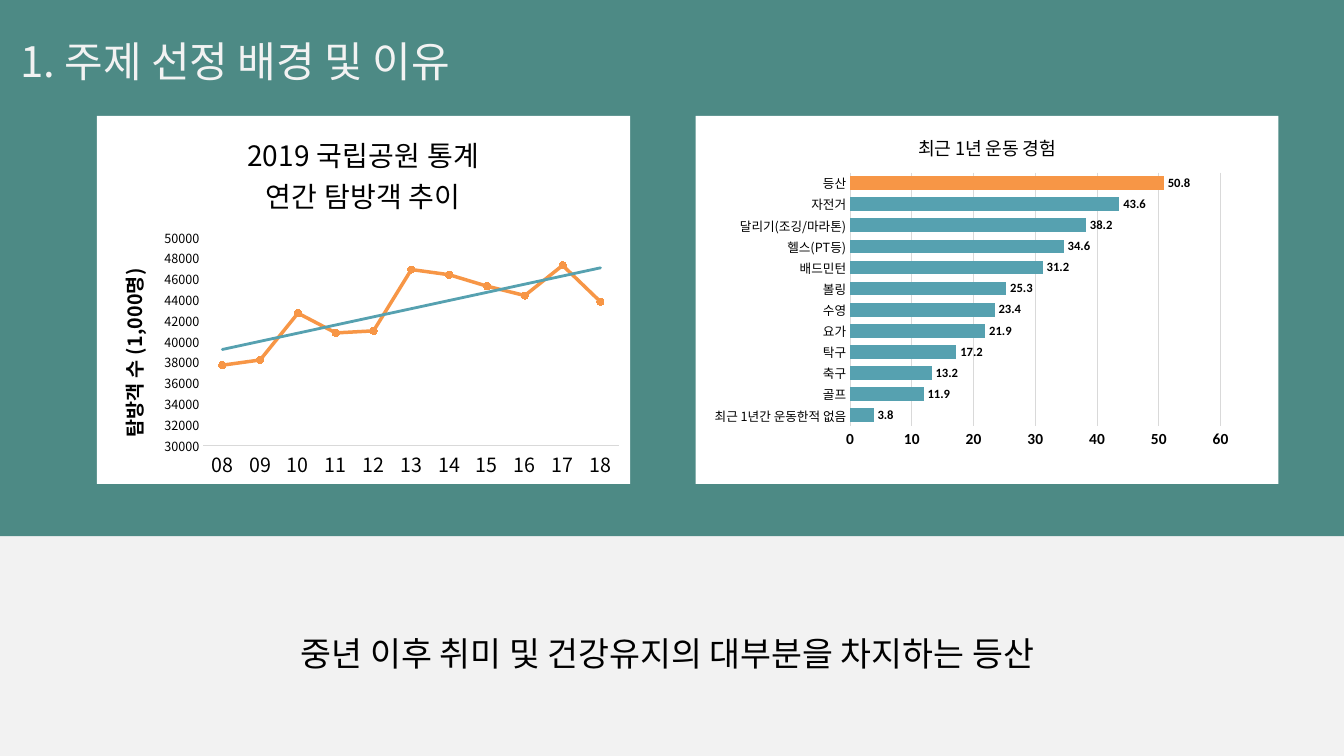
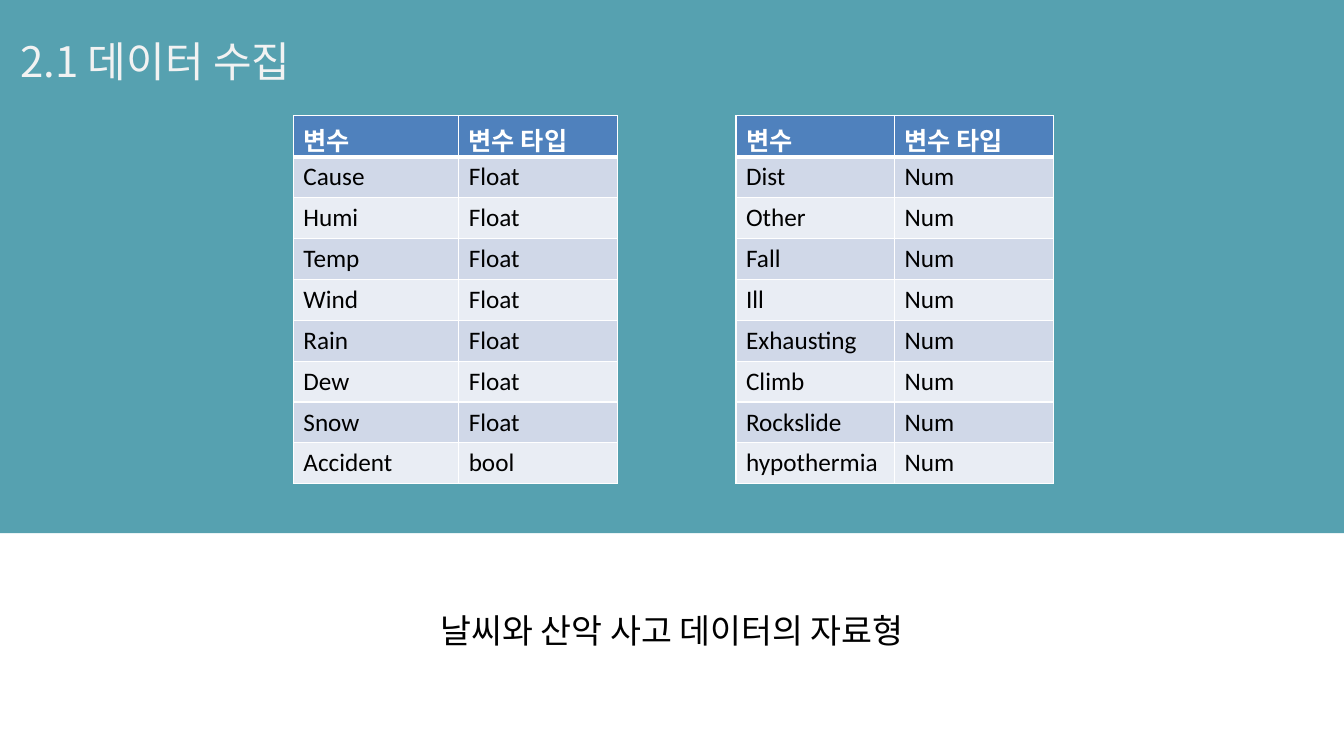
import pptx
import pptx.chart.data
import pptx.dml.color
import pptx.enum.chart
import pptx.enum.shapes
import pptx.enum.text
import pptx.oxml
import pptx.oxml.ns
import pptx.util

RGBColor = pptx.dml.color.RGBColor
Pt = pptx.util.Pt
qn = pptx.oxml.ns.qn

WIDTH = pptx.util.Inches(13.33)
HEIGHT = pptx.util.Inches(7.5)
KOREAN = "Noto Sans CJK KR"
LATIN = "Calibri"

GREEN = RGBColor(0x4D, 0x8A, 0x85)
TEAL = RGBColor(0x56, 0xA1, 0xB0)
ORANGE = RGBColor(0xF7, 0x96, 0x46)
BLUE = RGBColor(0x4F, 0x81, 0xBD)
PALE = RGBColor(0xF2, 0xF2, 0xF2)
WHITE = RGBColor(0xFF, 0xFF, 0xFF)
BLACK = RGBColor(0, 0, 0)
GRAY = RGBColor(0xD9, 0xD9, 0xD9)
ROW_COLORS = (RGBColor(0xE9, 0xED, 0xF4), RGBColor(0xD0, 0xD8, 0xE8))

PANEL_TOP = 15.33
PANEL_HEIGHT = 48.7

VISITORS = {
    "08": 37700, "09": 38200, "10": 42700, "11": 40800, "12": 41000, "13": 46900,
    "14": 46400, "15": 45300, "16": 44400, "17": 47300, "18": 43800,
}
EXERCISE = {
    "최근 1년간 운동한적 없음": 3.8, "골프": 11.9, "축구": 13.2, "탁구": 17.2,
    "요가": 21.9, "수영": 23.4, "볼링": 25.3, "배드민턴": 31.2, "헬스(PT등)": 34.6,
    "달리기(조깅/마라톤)": 38.2, "자전거": 43.6, "등산": 50.8,
}
WEATHER = {name: "Float" for name in ("Cause", "Humi", "Temp", "Wind", "Rain", "Dew", "Snow")}
WEATHER["Accident"] = "bool"
ACCIDENTS = {
    name: "Num"
    for name in ("Dist", "Other", "Fall", "Ill", "Exhausting", "Climb", "Rockslide", "hypothermia")
}


def percent(left, top, width, height):
    return (
        int(WIDTH * left / 100), int(HEIGHT * top / 100),
        int(WIDTH * width / 100), int(HEIGHT * height / 100),
    )


def set_font(font, size, name=KOREAN, color=BLACK, bold=False):
    font.size = Pt(size)
    font.name = name
    font.bold = bold
    font.color.rgb = color


def xml(tag, body):
    prefix = tag.split(":")[0]
    return pptx.oxml.parse_xml(
        f'<{tag} {pptx.oxml.ns.nsdecls(*dict.fromkeys((prefix, "a")))}>{body}</{tag}>'
    )


def solid(color):
    return f'<a:solidFill><a:srgbClr val="{color}"/></a:solidFill>'


def add_slide(presentation, title, background, band_color, band_height):
    slide = presentation.slides.add_slide(presentation.slide_layouts[5])
    slide.background.fill.solid()
    slide.background.fill.fore_color.rgb = background
    heading = slide.shapes.title
    heading.left, heading.top, heading.width, heading.height = percent(0.75, 0.67, 40.14, 10.67)
    frame = heading.text_frame
    frame.text = title
    frame.vertical_anchor = pptx.enum.text.MSO_ANCHOR.TOP
    frame.auto_size = pptx.enum.text.MSO_AUTO_SIZE.SHAPE_TO_FIT_TEXT
    paragraph = frame.paragraphs[0]
    paragraph.alignment = pptx.enum.text.PP_ALIGN.LEFT
    paragraph.line_spacing = 1.5
    set_font(paragraph.font, 30, color=PALE)

    band = slide.shapes.add_shape(
        pptx.enum.shapes.MSO_SHAPE.RECTANGLE, *percent(0, 0, 100, band_height)
    )
    band.shadow.inherit = False
    band.fill.solid()
    band.fill.fore_color.rgb = band_color
    band.line.fill.background()
    heading.element.addprevious(band.element)
    return slide


def add_caption(slide, text, box, line_spacing):
    frame = slide.shapes.add_textbox(*percent(*box)).text_frame
    frame.word_wrap = True
    frame.text = text
    paragraph = frame.paragraphs[0]
    paragraph.alignment = pptx.enum.text.PP_ALIGN.CENTER
    paragraph.line_spacing = line_spacing
    set_font(paragraph.font, 24)


def set_text(text_frame, text, size, bold=False):
    text_frame.text = text
    for paragraph in text_frame.paragraphs:
        set_font(paragraph.font, size, bold=bold)


def set_plot_area(chart, x, y, w, h):
    area = chart.element.find(".//" + qn("c:plotArea"))
    for layout in area.findall(qn("c:layout")):
        area.remove(layout)
    values = {"layoutTarget": "inner", "xMode": "edge", "yMode": "edge", "x": x, "y": y, "w": w, "h": h}
    body = "".join(f'<c:{key} val="{value}"/>' for key, value in values.items())
    area.insert(0, xml("c:layout", f"<c:manualLayout>{body}</c:manualLayout>"))


def add_chart(slide, kind, values, left, width, title, title_size, plot_area):
    data = pptx.chart.data.CategoryChartData()
    data.categories = list(values)
    data.add_series("Series 1", list(values.values()))
    box = percent(left, PANEL_TOP, width, PANEL_HEIGHT)
    chart = slide.shapes.add_chart(kind, *box, data).chart
    set_font(chart.font, 10, LATIN)
    chart.has_legend = False
    chart.has_title = True
    set_text(chart.chart_title.text_frame, title, title_size)
    set_plot_area(chart, *plot_area)
    background = xml("c:spPr", solid(WHITE) + "<a:ln><a:noFill/></a:ln>")
    chart.element.find(qn("c:chart")).addnext(background)
    for axis in (chart.category_axis, chart.value_axis):
        axis.major_tick_mark = pptx.enum.chart.XL_TICK_MARK.NONE
        axis.minor_tick_mark = pptx.enum.chart.XL_TICK_MARK.NONE
        axis.has_major_gridlines = False
    chart.category_axis.format.line.color.rgb = GRAY
    chart.category_axis.format.line.width = Pt(0.75)
    chart.value_axis.format.line.fill.background()
    return chart


def set_scale(axis, minimum, maximum, step):
    axis.minimum_scale = minimum
    axis.maximum_scale = maximum
    axis.major_unit = step


def add_visitor_chart(slide):
    chart = add_chart(
        slide, pptx.enum.chart.XL_CHART_TYPE.LINE_MARKERS, VISITORS, 7.2, 39.68,
        "2019 국립공원 통계\n연간 탐방객 추이", 20, (0.2, 0.33, 0.78, 0.565),
    )
    set_font(chart.category_axis.tick_labels.font, 14)
    axis = chart.value_axis
    set_scale(axis, 30000, 50000, 2000)
    set_font(axis.tick_labels.font, 9)
    set_text(axis.axis_title.text_frame, "탐방객 수 (1,000명)", 14, bold=True)

    series = chart.plots[0].series[0]
    series.smooth = False
    series.format.line.color.rgb = ORANGE
    series.format.line.width = Pt(2.5)
    series.marker.style = pptx.enum.chart.XL_MARKER_STYLE.CIRCLE
    series.marker.size = 5
    series.marker.format.fill.solid()
    series.marker.format.fill.fore_color.rgb = ORANGE
    series.marker.format.line.color.rgb = ORANGE
    trend = xml(
        "c:trendline",
        f'<c:spPr><a:ln w="{Pt(2)}" cap="rnd">{solid(TEAL)}</a:ln></c:spPr>'
        '<c:trendlineType val="linear"/><c:dispRSqr val="0"/><c:dispEq val="0"/>',
    )
    chart.element.find(".//" + qn("c:cat")).addprevious(trend)


def add_exercise_chart(slide):
    chart = add_chart(
        slide, pptx.enum.chart.XL_CHART_TYPE.BAR_CLUSTERED, EXERCISE, 51.76, 43.36,
        "최근 1년 운동 경험", 13, (0.265, 0.154, 0.636, 0.688),
    )
    chart.chart_title.include_in_layout = True
    set_font(chart.category_axis.tick_labels.font, 9)
    axis = chart.value_axis
    set_scale(axis, 0, 60, 10)
    set_font(axis.tick_labels.font, 11, LATIN, bold=True)
    axis.has_major_gridlines = True
    axis.major_gridlines.format.line.color.rgb = GRAY
    axis.major_gridlines.format.line.width = Pt(0.75)

    plot = chart.plots[0]
    plot.vary_by_categories = False
    plot.gap_width = 54
    plot.overlap = 20
    series = plot.series[0]
    hiking = series.points[len(EXERCISE) - 1]
    for item, color in ((series, TEAL), (hiking, ORANGE)):
        item.format.fill.solid()
        item.format.fill.fore_color.rgb = color
    labels = series.data_labels
    labels.show_value = True
    labels.position = pptx.enum.chart.XL_LABEL_POSITION.OUTSIDE_END
    set_font(labels.font, 9, LATIN, bold=True)


def format_cell(cell, text, fill, color, bold, bottom_width):
    cell.text = text
    set_font(cell.text_frame.paragraphs[0].font, 18, LATIN, color, bold)
    cell.fill.solid()
    cell.fill.fore_color.rgb = fill
    properties = cell._tc.get_or_add_tcPr()
    for index, side in enumerate("LRTB"):
        border = xml(f"a:ln{side}", solid(WHITE))
        border.set("w", str(Pt(bottom_width if side == "B" else 1)))
        properties.insert(index, border)


def add_variable_table(slide, left, column_widths, variables):
    rows = [("변수", "변수 타입"), *variables.items()]
    box = percent(left, PANEL_TOP, sum(column_widths), PANEL_HEIGHT)
    table = slide.shapes.add_table(len(rows), len(column_widths), *box).table
    for column, width in zip(table.columns, column_widths):
        column.width = int(WIDTH * width / 100)
    for row_index, row in enumerate(rows):
        if row_index == 0:
            style = (BLUE, WHITE, True, 3)
        else:
            style = (ROW_COLORS[row_index % 2], BLACK, False, 1)
        for column_index, text in enumerate(row):
            format_cell(table.cell(row_index, column_index), text, *style)


def main():
    presentation = pptx.Presentation()
    presentation.slide_width = WIDTH
    presentation.slide_height = HEIGHT

    slide = add_slide(presentation, "1. 주제 선정 배경 및 이유", PALE, GREEN, 70.93)
    add_visitor_chart(slide)
    add_exercise_chart(slide)
    add_caption(slide, "중년 이후 취미 및 건강유지의 대부분을 차지하는 등산", (14.1, 83.07, 71.12, 12.13), 1)

    slide = add_slide(presentation, "2.1 데이터 수집", WHITE, TEAL, 70.53)
    add_variable_table(slide, 21.83, (12.3, 11.8), WEATHER)
    add_variable_table(slide, 54.76, (11.8, 11.8), ACCIDENTS)
    add_caption(slide, "날씨와 산악 사고 데이터의 자료형", (18.98, 77.33, 62.04, 8.8), 1.5)

    presentation.save("out.pptx")


if __name__ == "__main__":
    main()
